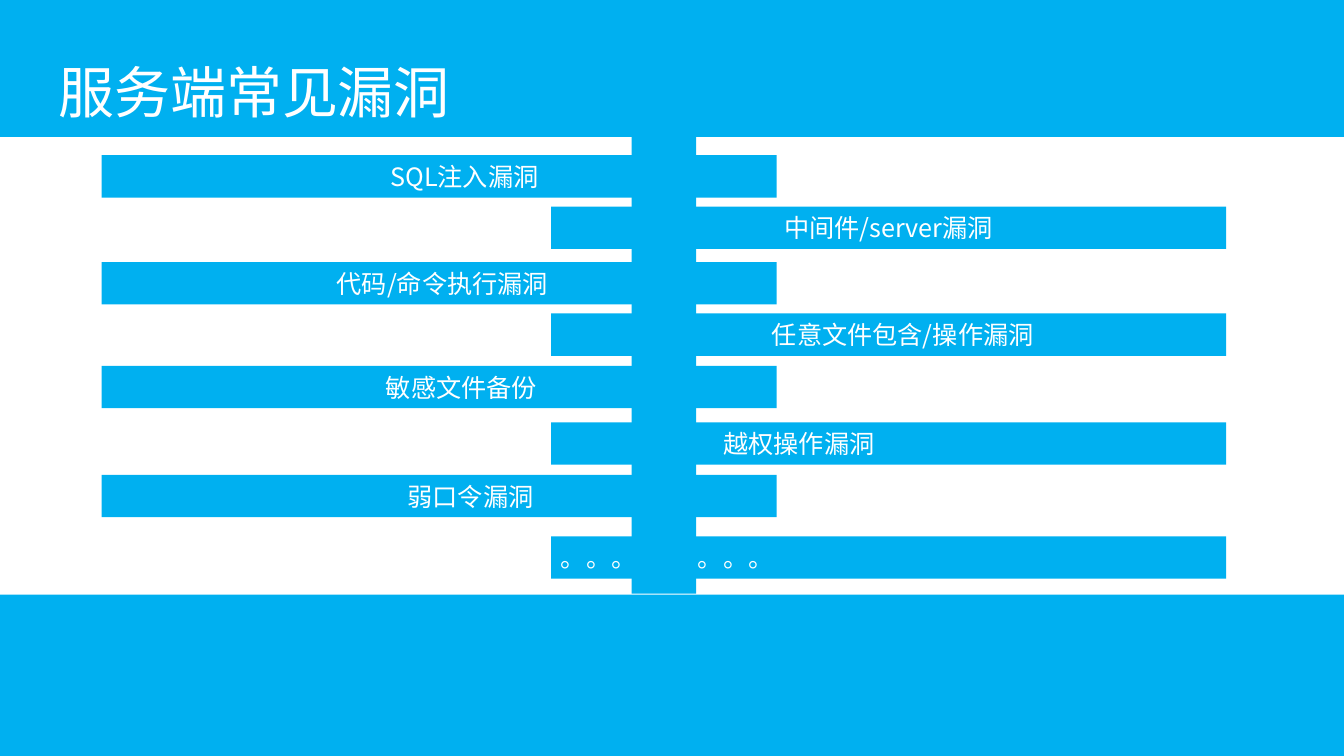
from lxml import etree
from pptx import Presentation
from pptx.dml.color import RGBColor
from pptx.enum.shapes import MSO_SHAPE
from pptx.enum.text import MSO_ANCHOR, MSO_AUTO_SIZE, PP_ALIGN
from pptx.oxml.ns import qn
from pptx.util import Inches, Pt

RECTANGLE = MSO_SHAPE.RECTANGLE
MIDDLE = MSO_ANCHOR.MIDDLE
NO_AUTOSIZE = MSO_AUTO_SIZE.NONE
LEFT, CENTER = PP_ALIGN.LEFT, PP_ALIGN.CENTER

COLORS = {"blue": "00B0F0", "white": "FFFFFF"}
FONT = "Noto Sans CJK SC"
SLIDE_WIDTH, SLIDE_HEIGHT = 13.34, 7.5
BAR_WIDTH, BAR_HEIGHT = 6.7, 0.42
BAR_LEFTS = (1.01, 5.47)

VULNERABILITIES = [
    ("SQL注入漏洞", 1.54, 0.6, CENTER),
    ("中间件/server漏洞", 2.05, 0.1, CENTER),
    ("代码/命令执行漏洞", 2.6, 0.16, CENTER),
    ("任意文件包含/操作漏洞", 3.11, 0.38, CENTER),
    ("敏感文件备份", 3.63, 0.54, CENTER),
    ("越权操作漏洞", 4.19, 1.71, LEFT),
    ("弱口令漏洞", 4.71, 0.72, CENTER),
    ("。。。\t。。。", 5.32, 0.1, LEFT),
]


class SlideBuilder:
    """Draws styled elements on the current slide."""

    def __init__(self, page):
        self.page = page

    def add_text(self, box, text, size, align, inset=0.1):
        frame = box.text_frame
        frame.auto_size = NO_AUTOSIZE
        frame.word_wrap = True
        frame.vertical_anchor = MIDDLE
        frame.margin_left = Inches(inset)
        para = frame.paragraphs[0]
        para.alignment = align
        span = para.add_run()
        span.text = text
        span.font.size = Pt(size)
        span.font.color.rgb = RGBColor.from_string(COLORS["white"])
        span.font.name = FONT
        east_asian = etree.SubElement(span._r.get_or_add_rPr(), qn("a:ea"))
        east_asian.set("typeface", FONT)
        return para

    def title(self, text, left, top, width, height):
        box = self.page.shapes.title
        box.left, box.top = Inches(left), Inches(top)
        box.width, box.height = Inches(width), Inches(height)
        self.page.shapes.element.append(box.element)
        self.add_text(box, text, 40, LEFT)

    def block(self, left, top, width, height):
        box = self.page.shapes.add_shape(
            RECTANGLE, Inches(left), Inches(top), Inches(width), Inches(height))
        box.shadow.inherit = False
        box.fill.solid()
        box.fill.fore_color.rgb = RGBColor.from_string(COLORS["blue"])
        box.line.fill.background()
        return box

    def bar(self, text, left, top, inset, align):
        box = self.block(left, top, BAR_WIDTH, BAR_HEIGHT)
        para = self.add_text(box, text, 18, align, inset)
        if "\t" in text:
            self.tab_stop(para, 1.36)

    def tab_stop(self, para, position):
        tabs = etree.SubElement(para._p.get_or_add_pPr(), qn("a:tabLst"))
        etree.SubElement(tabs, qn("a:tab"), pos=str(Inches(position)), algn="l")


def main():
    deck = Presentation()
    deck.slide_width, deck.slide_height = Inches(SLIDE_WIDTH), Inches(SLIDE_HEIGHT)
    builder = SlideBuilder(deck.slides.add_slide(deck.slide_layouts[5]))
    builder.block(0, 5.9, SLIDE_WIDTH, 1.6)
    builder.block(0, 0, SLIDE_WIDTH, 1.36)
    builder.title("服务端常见漏洞", 0.48, 0.52, 4.3, 0.77)
    for index, (text, top, inset, align) in enumerate(VULNERABILITIES):
        builder.bar(text, BAR_LEFTS[index % 2], top, inset, align)
    builder.block(6.27, 1.35, 0.64, 4.54)
    deck.save("out.pptx")


if __name__ == "__main__":
    main()
